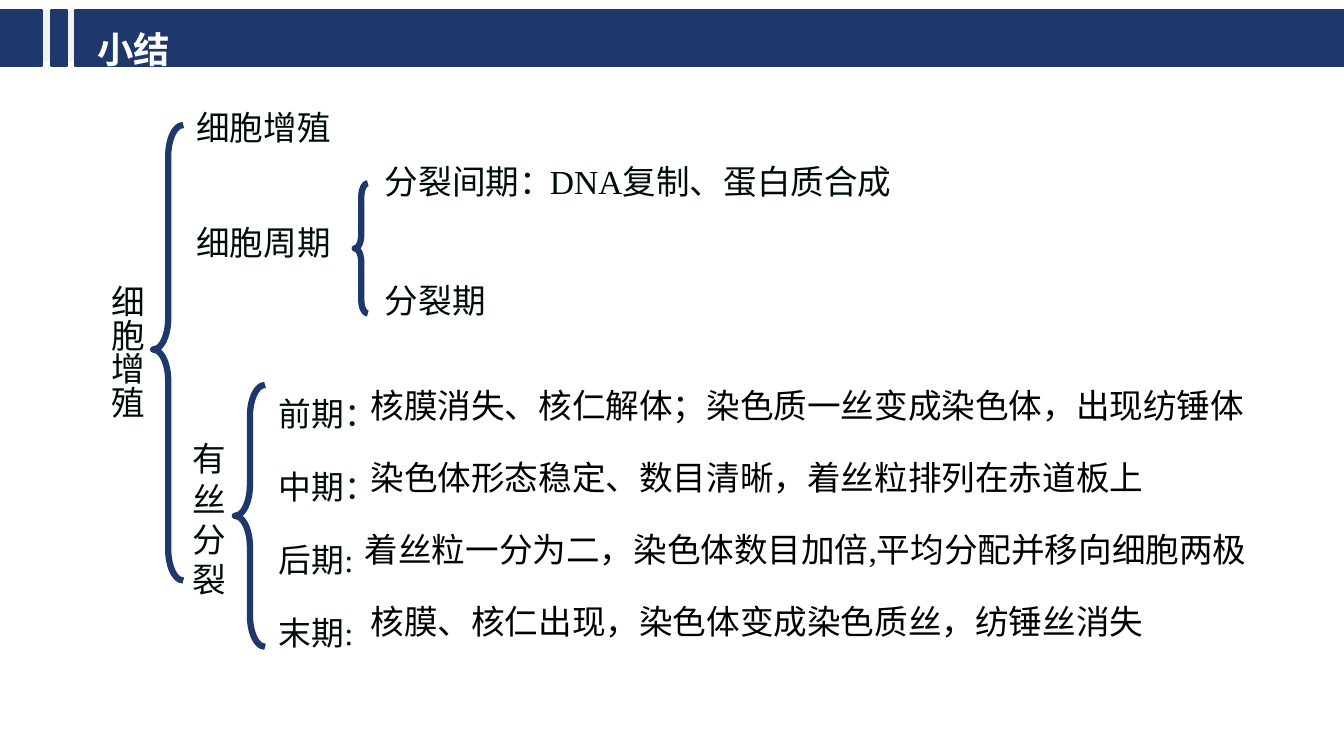
"""Build the summary slide on cell proliferation."""
from pptx import Presentation
from pptx.dml.color import RGBColor
from pptx.enum.shapes import MSO_SHAPE
from pptx.util import Cm, Pt

NAVY = RGBColor(0x1E, 0x38, 0x6B)
PALE = RGBColor(0xF2, 0xF2, 0xF2)
INK = RGBColor(0x00, 0x0C, 0x0C)
BLACK = RGBColor(0x00, 0x00, 0x00)
WHITE = RGBColor(0xFF, 0xFF, 0xFF)
FONT = "Times New Roman"
PAGE_WIDTH = 33.87
PAGE_HEIGHT = 19.05
PHASES = [
    ("前期：", "核膜消失、核仁解体；染色质一丝变成染色体，出现纺锤体", 2.31),
    ("中期：", "染色体形态稳定、数目清晰，着丝粒排列在赤道板上", 2.31),
    ("后期:", "着丝粒一分为二，染色体数目加倍,平均分配并移向细胞两极", 2.16),
    ("末期:", "核膜、核仁出现，染色体变成染色质丝，纺锤丝消失", 2.31),
]


def add_text(page, left, top, width, height, lines, color=INK, size=24,
             bold=False, spacing=None, gap=0):
    """Add a wrapped text box with one paragraph per line."""
    box = page.shapes.add_textbox(Cm(left), Cm(top), Cm(width), Cm(height))
    frame = box.text_frame
    frame.word_wrap = True
    frame.text = "\n".join(lines)
    for index, para in enumerate(frame.paragraphs):
        para.font.name = FONT
        para.font.size = Pt(size)
        para.font.bold = bold
        para.font.color.rgb = color
        if spacing:
            para.line_spacing = spacing
        if index:
            para.space_before = Pt(gap)
    return box


def add_bar(page, left, top, width, height, color, outlined=True):
    """Add one filled bar of the header."""
    bar = page.shapes.add_shape(MSO_SHAPE.RECTANGLE, Cm(left), Cm(top), Cm(width), Cm(height))
    bar.shadow.inherit = False
    bar.fill.solid()
    bar.fill.fore_color.rgb = color
    if outlined:
        bar.line.color.rgb = color
        bar.line.width = Pt(1.5)
    else:
        bar.line.fill.background()


def add_brace(page, left, top, width, height, middle=0.5):
    """Add a left brace whose point sits at the given share of its height."""
    brace = page.shapes.add_shape(MSO_SHAPE.LEFT_BRACE, Cm(left), Cm(top), Cm(width), Cm(height))
    brace.shadow.inherit = False
    brace.adjustments[0] = 1.031
    brace.adjustments[1] = middle
    brace.fill.background()
    brace.line.color.rgb = NAVY
    brace.line.width = Pt(4.5)


def add_header(page, left, top, width):
    """Draw the header band and its title."""
    add_bar(page, left + 0.76, top, 2.11, 1.3, PALE, outlined=False)
    for start, end in ((1.3, 1.68), (1.88, width), (0, 1.07)):
        add_bar(page, left + start, top, end - start, 1.42, NAVY)
    add_text(page, left + 2.21, top - 0.25, 7.92, 1.73, ["小结"], WHITE, 26,
             bold=True, spacing=1.5)


def add_root(page, left, top):
    """Draw the vertical topic, its brace and the first branch."""
    topic = add_text(page, left, top + 4.36, 1.55, 5.99, ["细胞增殖"])
    topic.text_frame._txBody.bodyPr.set("vert", "eaVert")
    add_brace(page, left + 1.57, top + 0.58, 0.76, 11.48, 0.493)
    add_text(page, left + 2.41, top, 5.82, 1.3, ["细胞增殖"])


def add_cycle(page, left, top):
    """Draw the cell cycle branch with its two periods."""
    add_text(page, left, top + 1.52, 5.82, 1.3, ["细胞周期"])
    add_brace(page, left + 4.24, top + 0.68, 0.33, 3.28)
    add_text(page, left + 4.75, top, 5.97, 1.27, ["分裂间期："])
    add_text(page, left + 4.75, top + 2.99, 5.97, 1.27, ["分裂期"])
    detail = left + 8.91
    add_text(page, detail, top, PAGE_WIDTH - detail, 1.27, ["DNA复制、蛋白质合成"])


def add_mitosis(page, left, top):
    """Draw the mitosis branch with its four phases."""
    add_text(page, left, top + 1.62, 1.75, 4.37, ["有丝分裂"])
    add_brace(page, left + 1.32, top + 0.4, 0.76, 6.6)
    names = [name for name, _, _ in PHASES]
    list_left = left + 2.18
    add_text(page, list_left, top, 3.12, 7.82, names, size=23.4, spacing=1.5, gap=10)
    for row, (_, detail, offset) in enumerate(PHASES):
        detail_left = list_left + offset
        add_text(page, detail_left, top + 0.28 + row * 1.81,
                 PAGE_WIDTH - detail_left, 1.27, [detail], BLACK)


def main():
    """Create the deck and save it."""
    deck = Presentation()
    deck.slide_width = Cm(PAGE_WIDTH)
    deck.slide_height = Cm(PAGE_HEIGHT)
    page = deck.slides.add_slide(deck.slide_layouts[6])
    add_header(page, 0, 0.25, PAGE_WIDTH)
    add_root(page, 2.29, 2.57)
    add_cycle(page, 4.7, 3.94)
    add_mitosis(page, 4.6, 9.3)
    deck.save("out.pptx")


if __name__ == "__main__":
    main()
